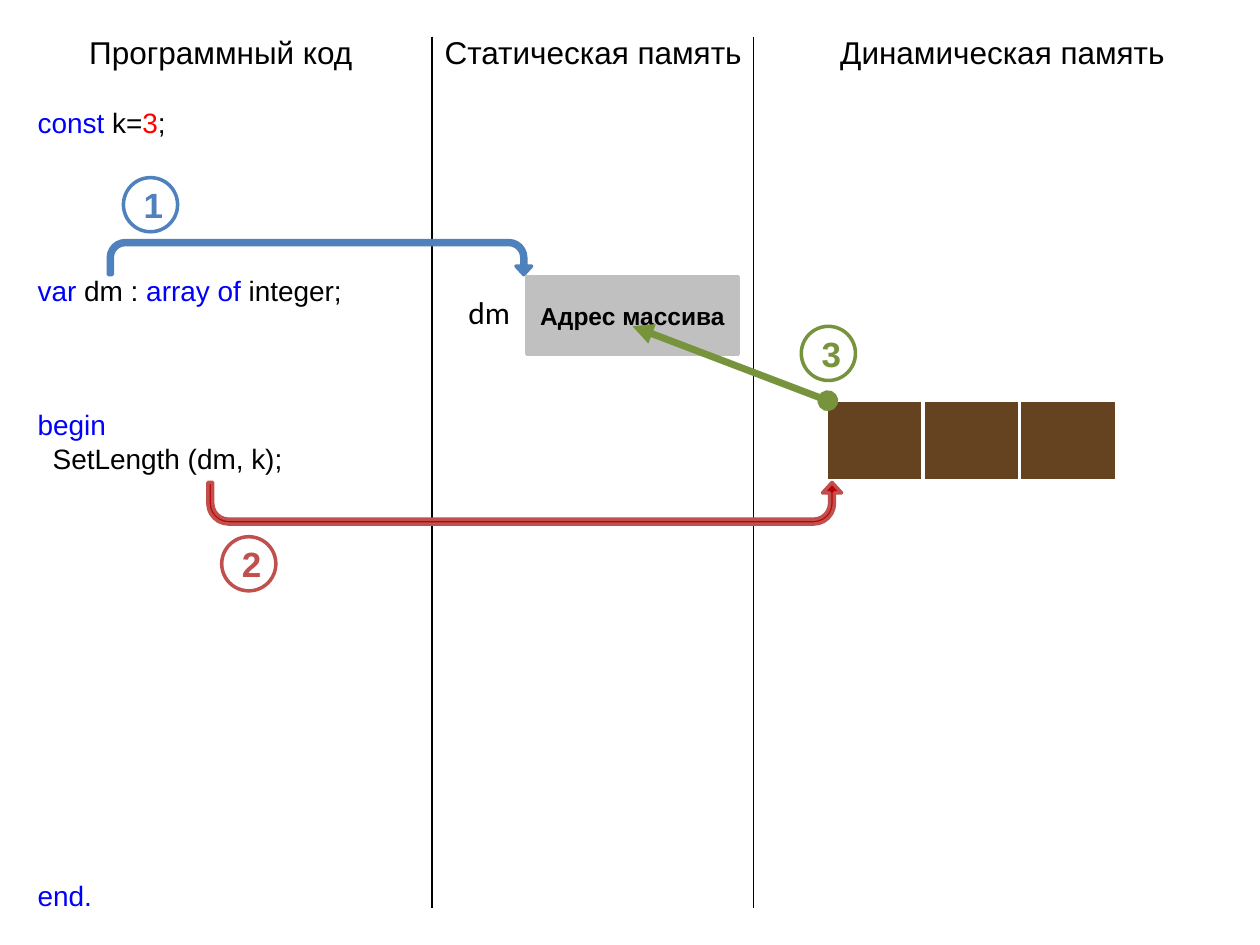
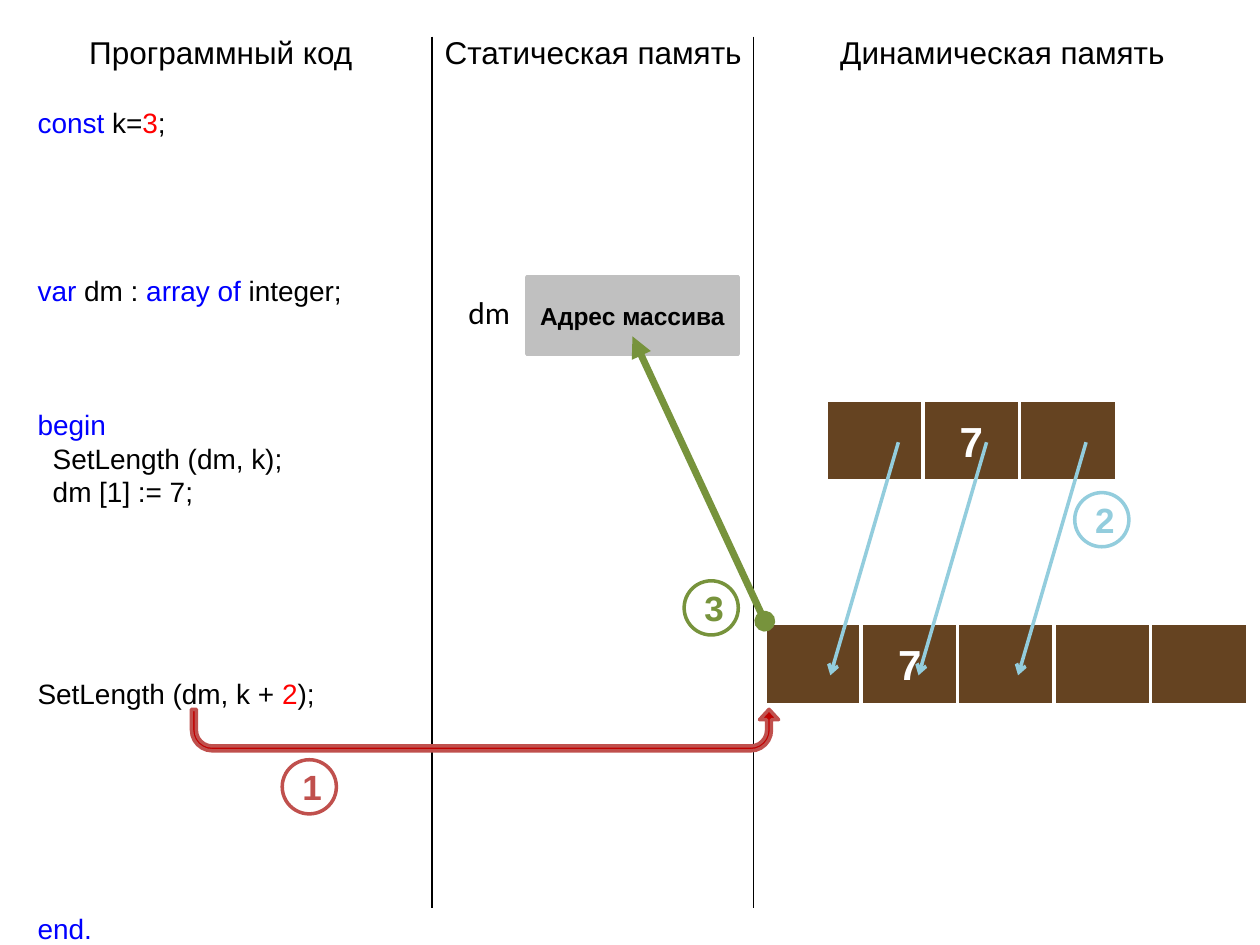
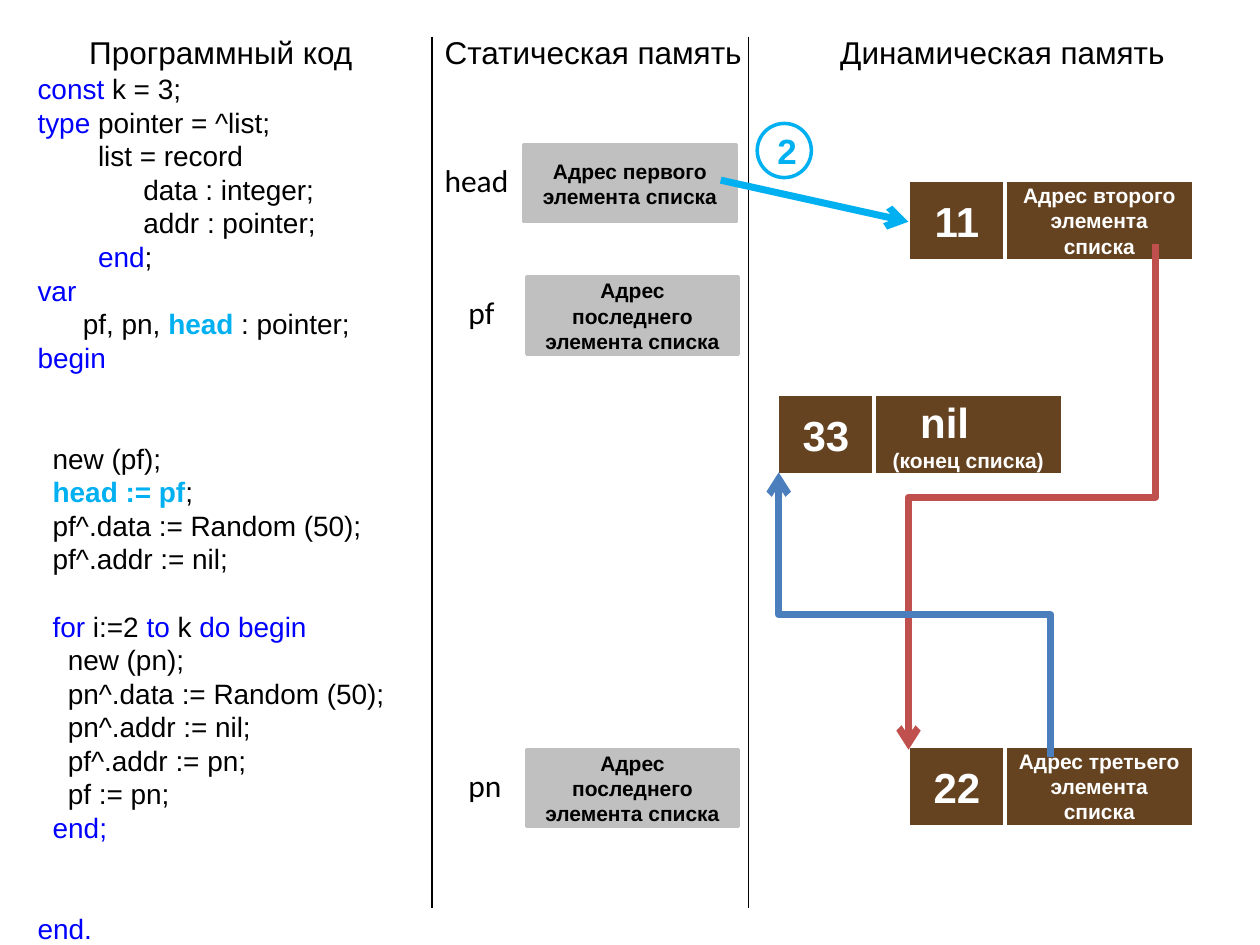
from lxml import etree
from pptx import Presentation
from pptx.dml.color import RGBColor
from pptx.enum.shapes import MSO_CONNECTOR, MSO_SHAPE
from pptx.enum.text import MSO_ANCHOR, MSO_AUTO_SIZE, PP_ALIGN
from pptx.oxml.ns import qn
from pptx.util import Inches, Pt

RECTANGLE = MSO_SHAPE.RECTANGLE
OVAL = MSO_SHAPE.OVAL
U_TURN = MSO_SHAPE.U_TURN_ARROW
STRAIGHT = MSO_CONNECTOR.STRAIGHT
ELBOW = MSO_CONNECTOR.ELBOW
MIDDLE = MSO_ANCHOR.MIDDLE
CENTER = PP_ALIGN.CENTER
LEFT = PP_ALIGN.LEFT
GROW = MSO_AUTO_SIZE.SHAPE_TO_FIT_TEXT

COLORS = {
    "text": "000000", "white": "FFFFFF", "keyword": "0000FF",
    "number": "FF0000", "accent": "00B0F0", "static": "C0C0C0",
    "dynamic": "654321", "green": "77933C", "red": "C0504D",
    "dark_red": "C00000", "blue": "4F81BD", "link_blue": "4B7EBC",
    "pale_blue": "93CDDD",
}
HEADINGS = [
    ("Программный код", 0.61, 2.31),
    ("Статическая память", 3.43, 2.58),
    ("Динамическая память", 6.57, 2.8),
]
LINE_PITCH = 19.2
SPACE_WIDTH = 0.06
CELL_WIDTH, CELL_HEIGHT, CELL_STEP = 0.77, 0.64, 0.765
ADDRESS_WIDTH = 1.5
U_TURN_SHAPE = (0.117, 0.23, 0.25, 0.5, 1)


def keyword(text):
    return text, "keyword"


def number(text):
    return text, "number"


def accent(text):
    return text, "accent"


DECLARATIONS = [
    (0, 0, [keyword("const"), " k=", number("3"), ";"]),
    (4, 0, [keyword("var "), "dm : ", keyword("array of "), "integer;"]),
    (3, 0, [keyword("begin")]),
    (0, 2, ["SetLength (dm, k);"]),
]
CREATE_CODE = DECLARATIONS + [(12, 0, [keyword("end.")])]
RESIZE_CODE = DECLARATIONS + [
    (0, 2, ["dm [1] := 7;"]),
    (5, 0, ["SetLength (dm, k + ", number("2"), ");"]),
    (6, 0, [keyword("end.")]),
]
LIST_CODE = [
    (0, 0, [keyword("const "), "k = 3;"]),
    (0, 0, [keyword("type"), " pointer = ^list;"]),
    (0, 8, ["list = record"]),
    (0, 14, ["data : integer;"]),
    (0, 14, ["addr : pointer;"]),
    (0, 8, [keyword("end"), ";"]),
    (0, 0, [keyword("var")]),
    (0, 6, ["pf, pn, ", accent("head"), " : pointer;"]),
    (0, 0, [keyword("begin")]),
    (2, 2, ["new (pf);"]),
    (0, 2, [accent("head := pf"), ";"]),
    (0, 2, ["pf^.data := Random (50);"]),
    (0, 2, ["pf^.addr := nil;"]),
    (1, 2, [keyword("for"), " i:=2 ", keyword("to"), " k ", keyword("do begin")]),
    (0, 4, ["new (pn);"]),
    (0, 4, ["pn^.data := Random (50);"]),
    (0, 4, ["pn^.addr := nil;"]),
    (0, 4, ["pf^.addr := pn;"]),
    (0, 4, ["pf := pn;"]),
    (0, 2, [keyword("end;")]),
    (2, 0, [keyword("end.")]),
]


def rgb(color):
    return RGBColor.from_string(COLORS[color])


def add_span(para, text, size, color="text", bold=False, font="Arial"):
    span = para.add_run()
    span.text = text
    style = {"name": font, "size": Pt(size), "bold": bold}
    for name, value in style.items():
        setattr(span.font, name, value)
    span.font.color.rgb = rgb(color)


def indent_para(para, inches):
    para._p.get_or_add_pPr().set("marL", str(Inches(inches)))


def add_text_box(slide, left, top, width, height, wrap=True):
    box = slide.shapes.add_textbox(
        Inches(left), Inches(top), Inches(width), Inches(height))
    box.text_frame.word_wrap = wrap
    box.text_frame.auto_size = GROW
    return box.text_frame


def add_code(slide, lines, width, height, blank_lines=0):
    frame = add_text_box(slide, 0.2, 0.52, width, height)
    frame.margin_top = Inches(0.05) + Pt(blank_lines * LINE_PITCH)
    for index, (gap, indent, spans) in enumerate(lines):
        para = frame.add_paragraph() if index else frame.paragraphs[0]
        para.line_spacing = Pt(LINE_PITCH)
        para.space_before = Pt(gap * LINE_PITCH)
        indent_para(para, indent * SPACE_WIDTH)
        for span in spans:
            text, color = (span, "text") if isinstance(span, str) else span
            add_span(para, text, 16, color, bold=color == "accent")


def add_figure(slide, kind, left, top, width, height, fill, line):
    figure = slide.shapes.add_shape(
        kind, Inches(left), Inches(top), Inches(width), Inches(height))
    figure.shadow.inherit = False
    if fill:
        figure.fill.solid()
        figure.fill.fore_color.rgb = rgb(fill)
    else:
        figure.fill.background()
    figure.line.color.rgb = rgb(line)
    figure.line.width = Pt(2)
    return figure


def write_centered(figure, text, size, color):
    frame = figure.text_frame
    frame.word_wrap = True
    frame.vertical_anchor = MIDDLE
    frame.paragraphs[0].alignment = CENTER
    add_span(frame.paragraphs[0], text, size, color, bold=True)
    return frame


def add_step(slide, text, left, top, color):
    circle = add_figure(slide, OVAL, left, top, 0.43, 0.43, None, color)
    write_centered(circle, text, 20, color)


def add_variable(slide, name, address, top, size=12, left=4.18, label_left=3.62):
    box = add_figure(slide, RECTANGLE, left, top, 1.68, 0.61, "static", "static")
    write_centered(box, address, size, "text")
    label = add_text_box(slide, label_left, top + 0.08, 0.96, 0.4)
    add_span(label.paragraphs[0], name, 18, font="Calibri")


def add_cell(slide, left, top, text="", width=CELL_WIDTH, size=24):
    cell = add_figure(
        slide, RECTANGLE, left, top, width, CELL_HEIGHT, "dynamic", "white")
    return write_centered(cell, text, size, "white") if text else None


def add_array(slide, left, top, values):
    for index, value in enumerate(values):
        add_cell(slide, left + index * CELL_STEP, top, value)


def add_node(slide, left, top, value, address, size=12):
    add_cell(slide, left, top, value)
    return add_cell(slide, left + CELL_STEP, top, address, ADDRESS_WIDTH, size)


def add_last_node(slide, left, top, value):
    frame = add_node(slide, left, top, value, "nil", size=24)
    title = frame.paragraphs[0]
    title.alignment = LEFT
    indent_para(title, 0.27)
    note = frame.add_paragraph()
    note.alignment = CENTER
    indent_para(note, 0)
    add_span(note, "(конец списка)", 12, "white", bold=True)


def add_line(slide, start, end, color, width, head=None, tail=None, kind=STRAIGHT):
    points = [Inches(value) for value in (*start, *end)]
    connector = slide.shapes.add_connector(kind, *points)
    connector.line.color.rgb = rgb(color)
    connector.line.width = Pt(width)
    outline = connector.line._get_or_add_ln()
    for tag, ending in (("a:headEnd", head), ("a:tailEnd", tail)):
        if ending:
            etree.SubElement(outline, qn(tag)).set("type", ending)
    etree.SubElement(connector._element.spPr, qn("a:effectLst"))
    return connector


def add_vertical_elbow(slide, start, end, color, **endings):
    middle_x, middle_y = (start[0] + end[0]) / 2, (start[1] + end[1]) / 2
    half_length = (end[1] - start[1]) / 2
    half_depth = abs(end[0] - start[0]) / 2
    turn = 1 if end[0] < start[0] else -1
    connector = add_line(
        slide,
        (middle_x - turn * half_length, middle_y - half_depth),
        (middle_x + turn * half_length, middle_y + half_depth),
        color, 4, kind=ELBOW, **endings)
    angle = 90 if turn == 1 else 270
    connector._element.spPr.find(qn("a:xfrm")).set("rot", str(angle * 60000))


def add_u_turn(slide, left, top, width, height, fill, line, upward=False):
    arrow = add_figure(slide, U_TURN, left, top, width, height, fill, line)
    for index, value in enumerate(U_TURN_SHAPE):
        arrow.adjustments[index] = value
    if upward:
        arrow._element.spPr.find(qn("a:xfrm")).set("flipV", "1")


def add_memory_slide(deck, second_divider=5.98):
    slide = deck.slides.add_slide(deck.slide_layouts[6])
    for text, left, width in HEADINGS:
        frame = add_text_box(slide, left, 0.21, width, 0.4, wrap=False)
        add_span(frame.paragraphs[0], text, 18)
    for x in (3.43, second_divider):
        add_line(slide, (x, 0.29), (x, 7.21), "text", 1)
    return slide


def build_create_slide(deck):
    slide = add_memory_slide(deck)
    add_code(slide, CREATE_CODE, 2.65, 7.1, blank_lines=1)
    add_variable(slide, "dm", "Адрес массива", 2.2, size=14)
    add_array(slide, 6.56, 3.18, ["", "", ""])
    add_line(slide, (6.57, 3.18), (5.02, 2.59), "green", 4, "oval", "triangle")
    add_step(slide, "3", 6.36, 2.59, "green")
    add_u_turn(slide, 1.65, 3.83, 5.03, 0.33, "dark_red", "red", upward=True)
    add_step(slide, "2", 1.76, 4.26, "red")
    add_u_turn(slide, 0.86, 1.91, 3.36, 0.27, "blue", "blue")
    add_step(slide, "1", 0.98, 1.41, "blue")


def build_resize_slide(deck):
    slide = add_memory_slide(deck)
    add_code(slide, RESIZE_CODE, 2.65, 7.37, blank_lines=1)
    add_variable(slide, "dm", "Адрес массива", 2.2, size=14)
    add_array(slide, 6.56, 3.18, ["", "7", ""])
    add_step(slide, "3", 5.43, 4.61, "green")
    add_u_turn(slide, 1.52, 5.63, 4.66, 0.33, "dark_red", "red", upward=True)
    add_step(slide, "1", 2.24, 6.03, "red")
    add_array(slide, 6.07, 4.95, ["", "7", "", "", ""])
    add_line(slide, (6.07, 4.93), (5.02, 2.67), "green", 4, "oval", "triangle")
    for x in (7.13, 7.83, 8.62):
        add_line(slide, (x, 3.51), (x - 0.54, 5.36), "pale_blue", 2, tail="arrow")
    add_step(slide, "2", 8.53, 3.91, "pale_blue")


def build_list_slide(deck):
    slide = add_memory_slide(deck, second_divider=5.94)
    add_code(slide, LIST_CODE, 3, 7.1)
    add_node(slide, 7.21, 1.43, "11", "Адрес второго элемента списка")
    for name, top in (("pf", 2.2), ("pn", 5.95)):
        add_variable(slide, name, "Адрес последнего элемента списка", top)
    add_node(slide, 7.21, 5.92, "22", "Адрес третьего элемента списка")
    add_vertical_elbow(slide, (9.17, 1.94), (7.21, 5.95), "red", tail="arrow")
    add_variable(slide, "head", "Адрес первого элемента списка", 1.15,
                 left=4.16, label_left=3.43)
    add_line(slide, (5.72, 1.43), (7.21, 1.76), "accent", 4, tail="arrow")
    add_step(slide, "2", 6.01, 0.98, "accent")
    add_last_node(slide, 6.17, 3.13, "33")
    add_vertical_elbow(slide, (6.18, 3.75), (8.34, 6.01), "link_blue", head="arrow")


def main():
    deck = Presentation()
    deck.slide_width, deck.slide_height = Inches(10), Inches(7.5)
    build_create_slide(deck)
    build_resize_slide(deck)
    build_list_slide(deck)
    deck.save("out.pptx")


main()
